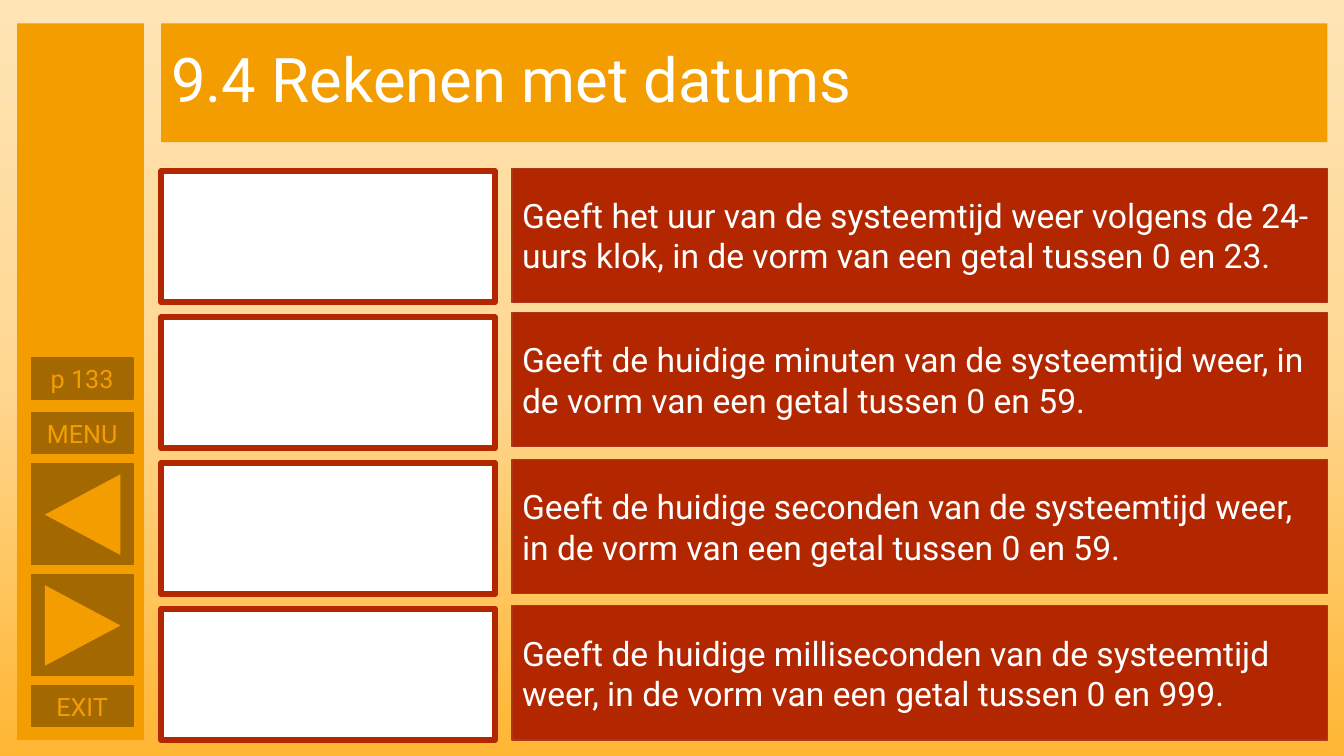
from copy import deepcopy

from pptx import Presentation
from pptx import util as u
from pptx.dml.color import RGBColor
from pptx.enum import shapes, text
from pptx.oxml.ns import qn

ORANGE = RGBColor(0xF4, 0x9D, 0x00)
BROWN = RGBColor(0xA3, 0x69, 0x00)
RED = RGBColor(0xB2, 0x26, 0x00)
RED_EDGE = RGBColor(0xAC, 0x38, 0x19)
WHITE = RGBColor(0xFF, 0xFF, 0xFF)
BACKDROP = (
    (0, RGBColor(0xFF, 0xE5, 0xB5)),
    (0.5, RGBColor(0xFF, 0xD7, 0x91)),
    (1, RGBColor(0xFF, 0xB6, 0x33)),
)

RECTANGLE = shapes.MSO_SHAPE.RECTANGLE
TRIANGLE = shapes.MSO_SHAPE.ISOSCELES_TRIANGLE
LEFT = text.PP_ALIGN.LEFT
CENTER = text.PP_ALIGN.CENTER

BUTTON_LEFT, BUTTON_WIDTH = 22.3, 72.7
LABELS = (("EXIT", 489.6), ("MENU", 294.5), ("p 133", 255.6))
ARROWS = ((410.4, 90), (331.2, 270))
ANSWER_TOP, ANSWER_PITCH = 122.4, 104.16
DESCRIPTIONS = (
    (120.2, "Geeft het uur van de systeemtijd weer volgens de 24-uurs klok, "
            "in de vorm van een getal tussen 0 en 23."),
    (223.2, "Geeft de huidige minuten van de systeemtijd weer, "
            "in de vorm van een getal tussen 0 en 59."),
    (328.3, "Geeft de huidige seconden van de systeemtijd weer, "
            "in de vorm van een getal tussen 0 en 59."),
    (432.7, "Geeft de huidige milliseconden van de systeemtijd weer, "
            "in de vorm van een getal tussen 0 en 999."),
)


def paint_backdrop(slide):
    fill = slide.background.fill
    fill.gradient()
    fill.gradient_angle = 270
    stop_list = slide.element.find(".//" + qn("a:gsLst"))
    stop_list.insert(1, deepcopy(stop_list[0]))
    for stop, (position, color) in zip(fill.gradient_stops, BACKDROP):
        stop.position = position
        stop.color.rgb = color


def add_block(slide, box, fill, edge=None, edge_width=1, kind=RECTANGLE):
    block = slide.shapes.add_shape(kind, *map(u.Pt, box))
    block.shadow.inherit = False
    block.fill.solid()
    block.fill.fore_color.rgb = fill
    if edge is None:
        block.line.fill.background()
    else:
        block.line.color.rgb = edge
        block.line.width = u.Pt(edge_width)
    return block


def write(block, wording, size, color, align=LEFT, spacing=1.0):
    frame = block.text_frame
    paragraph = frame.paragraphs[0]
    run = paragraph.add_run()
    run.text = wording
    run.font.color.rgb = color
    formats = (
        (frame, {"word_wrap": True, "vertical_anchor": text.MSO_ANCHOR.MIDDLE}),
        (paragraph, {"alignment": align, "line_spacing": spacing}),
        (run.font, {"name": "Roboto", "size": u.Pt(size)}),
    )
    for target, values in formats:
        for attribute, value in values.items():
            setattr(target, attribute, value)


def add_label_button(slide, label, top):
    button = add_block(slide, (BUTTON_LEFT, top, BUTTON_WIDTH, 29.5), BROWN, BROWN)
    write(button, label, 18, ORANGE, CENTER)


def add_arrow_button(slide, top, rotation):
    add_block(slide, (BUTTON_LEFT, top, BUTTON_WIDTH, 72), BROWN, BROWN)
    arrow = add_block(slide, (30.2, top + 9.4, 57.6, 54), ORANGE, kind=TRIANGLE)
    arrow.rotation = rotation


def add_question(slide, answer_top, description_top, description):
    add_block(slide, (115.2, answer_top, 238.3, 93.6), WHITE, RED, 4.5)
    panel = add_block(slide, (365.8, description_top, 582.5, 95.8), RED, RED_EDGE)
    write(panel, description, 24, WHITE)


def main():
    deck = Presentation()
    deck.slide_width, deck.slide_height = u.Pt(960), u.Pt(540)
    slide = deck.slides.add_slide(deck.slide_layouts[6])
    paint_backdrop(slide)

    title = add_block(slide, (115.2, 16.6, 833, 85), ORANGE)
    write(title, "9.4 Rekenen met datums", 44, WHITE, spacing=0.9)

    add_block(slide, (12.2, 16.6, 90.7, 511.9), ORANGE)
    for label, top in LABELS:
        add_label_button(slide, label, top)
    for top, rotation in ARROWS:
        add_arrow_button(slide, top, rotation)

    for row, (top, description) in enumerate(DESCRIPTIONS):
        add_question(slide, ANSWER_TOP + row * ANSWER_PITCH, top, description)

    deck.save("out.pptx")


if __name__ == "__main__":
    main()
